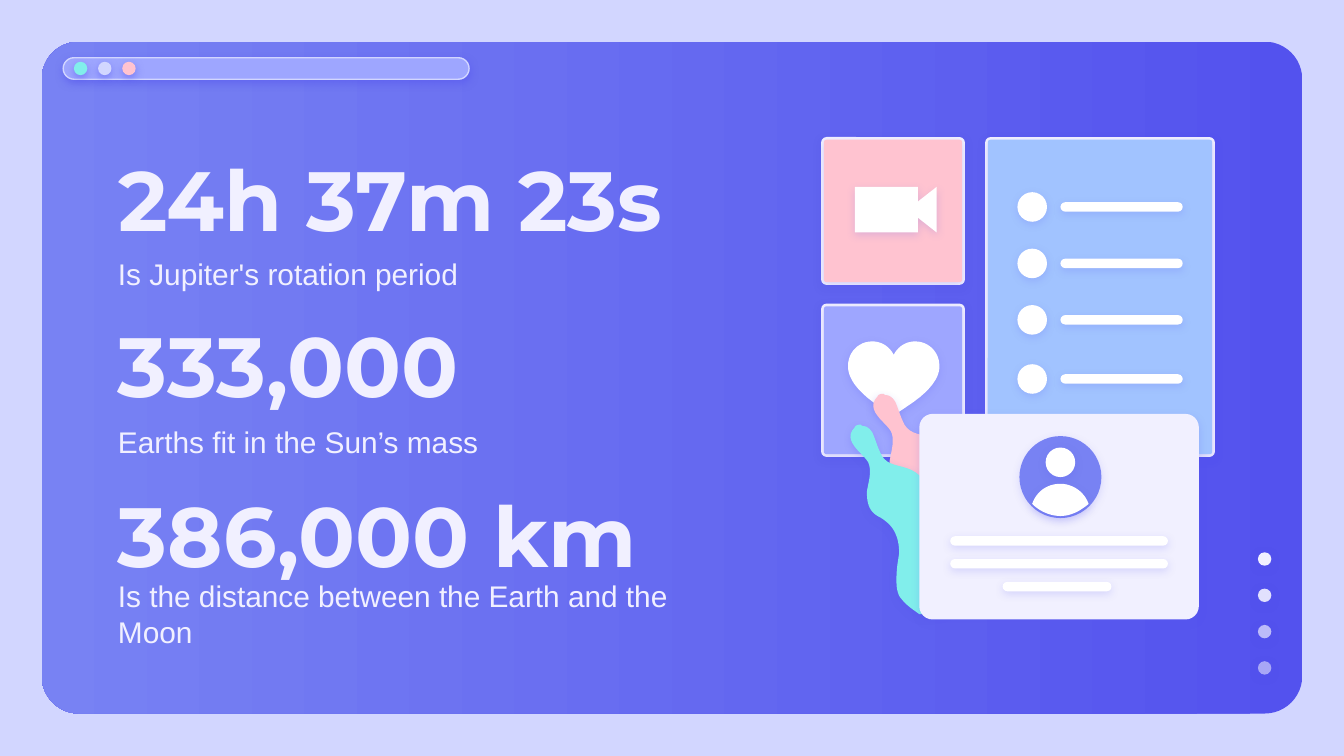
"""Build a slide of three astronomy figures beside an app-window illustration."""
from lxml import etree
from pptx import Presentation
from pptx import util as u
from pptx.dml import color as dml
from pptx.enum import shapes, text
from pptx.oxml import ns

COLORS = {
    "lavender": "D2D6FF", "indigo": "5352EE", "violet": "7882F3",
    "lilac": "9EA6FF", "aqua": "81EEEB", "pink": "FFC3D0",
    "sky": "A1C3FF", "pale": "F1F0FF", "white": "FFFFFF",
}
KINDS = shapes.MSO_SHAPE
STATS = [
    (1.23, 1.87, "24h 37m 23s", "Is Jupiter's rotation period"),
    (2.47, 3.12, "333,000", "Earths fit in the Sun’s mass"),
    (3.73, 4.4, "386,000 km", "Is the distance between the Earth and the Moon"),
]
HEART = [
    (6.49, 2.54), (6.39, 2.54, 6.31, 2.62, 6.31, 2.72),
    (6.31, 2.76, 6.31, 2.87, 6.55, 3.03), (6.65, 3.09), (6.74, 3.03),
    (6.99, 2.87, 6.99, 2.76, 6.99, 2.72), (6.99, 2.62, 6.91, 2.54, 6.81, 2.54),
    (6.74, 2.54, 6.68, 2.58, 6.65, 2.64), (6.62, 2.58, 6.56, 2.54, 6.49, 2.54),
]
SPLASH = [
    (6.57, 2.93), (6.55, 2.93, 6.53, 2.94, 6.53, 2.95),
    (6.43, 3.05, 6.59, 3.14, 6.63, 3.21), (6.66, 3.28, 6.63, 3.36, 6.62, 3.43),
    (6.62, 3.5, 6.63, 3.57, 6.7, 3.61), (6.74, 3.63, 6.78, 3.66, 6.81, 3.7),
    (6.85, 3.76, 6.86, 3.82, 6.86, 3.89), (6.85, 3.95, 6.84, 4.01, 6.84, 4.08),
    (6.84, 4.12, 6.84, 4.19, 6.88, 4.23), (6.92, 4.28, 6.97, 4.31, 7.01, 4.34),
    (7.03, 4.34, 7.04, 4.34, 7.06, 4.34), (7.09, 4.34, 7.13, 4.33, 7.16, 4.33),
    (7.26, 4.3, 7.35, 4.23, 7.39, 4.14), (7.46, 3.99, 7.41, 3.8, 7.27, 3.7),
    (7.23, 3.67, 7.19, 3.66, 7.16, 3.62), (7.11, 3.57, 7.1, 3.46, 7.07, 3.39),
    (6.97, 3.19, 6.8, 3.28, 6.73, 3.16), (6.7, 3.1, 6.69, 3.06, 6.67, 3.01),
    (6.66, 2.98, 6.63, 2.94, 6.59, 2.94), (6.58, 2.94, 6.58, 2.93, 6.57, 2.93),
]
SHOULDERS = [
    (7.89, 3.6), (7.79, 3.6, 7.71, 3.66, 7.68, 3.75),
    (7.73, 3.8, 7.81, 3.84, 7.89, 3.84), (7.97, 3.84, 8.04, 3.8, 8.1, 3.75),
    (8.07, 3.66, 7.98, 3.6, 7.89, 3.6),
]
CAMERA = [(6.36, 1.39), (6.36, 1.73), (6.83, 1.73), (6.83, 1.62),
          (6.97, 1.73), (6.97, 1.39), (6.83, 1.5), (6.83, 1.39)]


def cm(*inches):
    """Convert layout inches to Cm lengths."""
    return [u.Cm(value * 2.54) for value in inches]


def rgb(name):
    """Return a palette colour."""
    return dml.RGBColor.from_string(COLORS[name])


def paint(shape, fill, shadow=16, opacity=100):
    """Fill a shape without outline and give it a soft indigo shadow."""
    shape.fill.solid()
    shape.fill.fore_color.rgb = rgb(fill)
    shape.line.fill.background()
    shape.shadow.inherit = False
    properties = shape.element.spPr
    if opacity < 100:
        tone = properties.find(ns.qn("a:solidFill") + "/" + ns.qn("a:srgbClr"))
        etree.SubElement(tone, ns.qn("a:alpha"), val=str(opacity * 1000))
    if shadow:
        effects = properties.find(ns.qn("a:effectLst"))
        outer = etree.SubElement(
            effects, ns.qn("a:outerShdw"), blurRad=str(u.Pt(4.5)),
            dist=str(u.Pt(1.5)), dir="5400000", algn="bl", rotWithShape="0")
        tone = etree.SubElement(outer, ns.qn("a:srgbClr"), val=COLORS["indigo"])
        etree.SubElement(tone, ns.qn("a:alpha"), val=str(shadow * 1000))


def add_panel(slide, box, fill, radius, shadow=16):
    """Add a rounded rectangle with a corner radius in inches."""
    panel = slide.shapes.add_shape(KINDS.ROUNDED_RECTANGLE, *cm(*box))
    panel.adjustments[0] = radius / min(box[2:])
    paint(panel, fill, shadow)
    return panel


def add_bar(slide, left, top, width):
    """Add a white bar with round ends."""
    add_panel(slide, (left, top, width, 0.07), "white", 0.035)


def add_dot(slide, x, y, size, fill, shadow=16, opacity=100):
    """Add a circle around a centre point."""
    box = cm(x - size / 2, y - size / 2, size, size)
    paint(slide.shapes.add_shape(KINDS.OVAL, *box), fill, shadow, opacity)


def add_card(slide, left, top, width, height, fill):
    """Add a coloured card with a pale frame."""
    add_panel(slide, (left, top, width, height), "pale", 0.04)
    edge = 0.02
    inner = (left + edge, top + edge, width - 2 * edge, height - 2 * edge)
    add_panel(slide, inner, fill, 0.02)


def add_outline(slide, outline, fill, shadow=16, dx=0, dy=0):
    """Add a closed outline of straight and cubic segments."""
    points = [outline[0]]
    for segment in outline[1:]:
        if len(segment) == 2:
            points.append(segment)
            continue
        curve = points[-1] + segment
        for step in range(1, 13):
            t = step / 12
            weights = ((1 - t) ** 3, 3 * t * (1 - t) ** 2, 3 * t * t * (1 - t), t ** 3)
            points.append(tuple(
                sum(w * v for w, v in zip(weights, curve[axis::2])) for axis in (0, 1)))
    places = [cm(x + dx, y + dy) for x, y in points]
    builder = slide.shapes.build_freeform(*places[0], scale=1.0)
    builder.add_line_segments(places[1:], close=True)
    paint(builder.convert_to_shape(), fill, shadow)


def write(box, top, height, words, font, size, bold=False):
    """Place a box in the figure column and write its text."""
    box.left, box.top, box.width, box.height = cm(0.78, top, 4.33, height)
    frame = box.text_frame
    frame.word_wrap = True
    frame.auto_size = text.MSO_AUTO_SIZE.NONE
    frame.vertical_anchor = text.MSO_ANCHOR.MIDDLE
    frame.margin_left, frame.margin_top, frame.margin_right, frame.margin_bottom = cm(*[0.1] * 4)
    paragraph = frame.paragraphs[0]
    paragraph.alignment = text.PP_ALIGN.LEFT
    run = paragraph.add_run()
    run.text = words
    run.font.name, run.font.size, run.font.bold = font, u.Pt(size), bold
    run.font.color.rgb = rgb("pale")


def add_window(slide):
    """Add the gradient window with its address bar and dots."""
    window = add_panel(slide, (0.31, 0.31, 9.38, 5), "indigo", 0.28, 0)
    window.fill.gradient()
    window.fill.gradient_angle = 180
    for stop, tone in zip(window.fill.gradient_stops, ("indigo", "violet")):
        stop.color.rgb = rgb(tone)
    address = add_panel(slide, (0.47, 0.43, 3.02, 0.16), "lilac", 0.08, 50)
    address.line.color.rgb = rgb("lavender")
    address.line.width = u.Pt(0.75)
    for index, tone in enumerate(("aqua", "lavender", "pink")):
        add_dot(slide, 0.6 + 0.18 * index, 0.51, 0.1, tone, 50)
    for index, opacity in enumerate((100, 90, 67, 54)):
        add_dot(slide, 9.41, 4.16 + 0.27 * index, 0.1, "pale", 50, opacity)


def add_stats(slide):
    """Add the three figures and their captions above the window."""
    title = slide.shapes.title
    title.element.getparent().append(title.element)
    for index, (top, caption_top, figure, caption) in enumerate(STATS):
        heading = slide.shapes.add_textbox(0, 0, 0, 0) if index else title
        write(heading, top, 0.48, figure, "Montserrat", 45, True)
        note = slide.shapes.add_textbox(0, 0, 0, 0)
        write(note, caption_top, 0.33, caption, "Arial", 16)


def add_illustration(slide):
    """Add the cards, splashes and profile on the right."""
    add_card(slide, 6.11, 2.26, 1.07, 1.14, "lilac")
    add_outline(slide, HEART, "white")
    add_outline(slide, SPLASH, "pink", 22)
    add_outline(slide, SPLASH, "aqua", 22, -0.17, 0.23)
    add_card(slide, 7.33, 1.02, 1.71, 2.38, "sky")
    for row in (1.54, 1.96, 2.38, 2.82):
        add_dot(slide, 7.68, row, 0.22, "white")
        add_bar(slide, 7.89, row - 0.035, 0.91)
    add_panel(slide, (6.84, 3.08, 2.08, 1.53), "pale", 0.1)
    for left, top, width in ((7.07, 3.99, 1.62), (7.07, 4.16, 1.62), (7.46, 4.33, 0.81)):
        add_bar(slide, left, top, width)
    add_dot(slide, 7.89, 3.55, 0.61, "violet")
    add_dot(slide, 7.89, 3.44, 0.22, "white")
    add_outline(slide, SHOULDERS, "white")
    add_card(slide, 6.11, 1.02, 1.07, 1.1, "pink")
    add_outline(slide, CAMERA, "white")


def main():
    """Build and save the slide."""
    deck = Presentation()
    deck.slide_width, deck.slide_height = cm(10, 10 * 9 / 16)
    slide = deck.slides.add_slide(deck.slide_layouts[5])
    slide.background.fill.solid()
    slide.background.fill.fore_color.rgb = rgb("lavender")
    add_window(slide)
    add_stats(slide)
    add_illustration(slide)
    deck.save("out.pptx")


if __name__ == "__main__":
    main()
